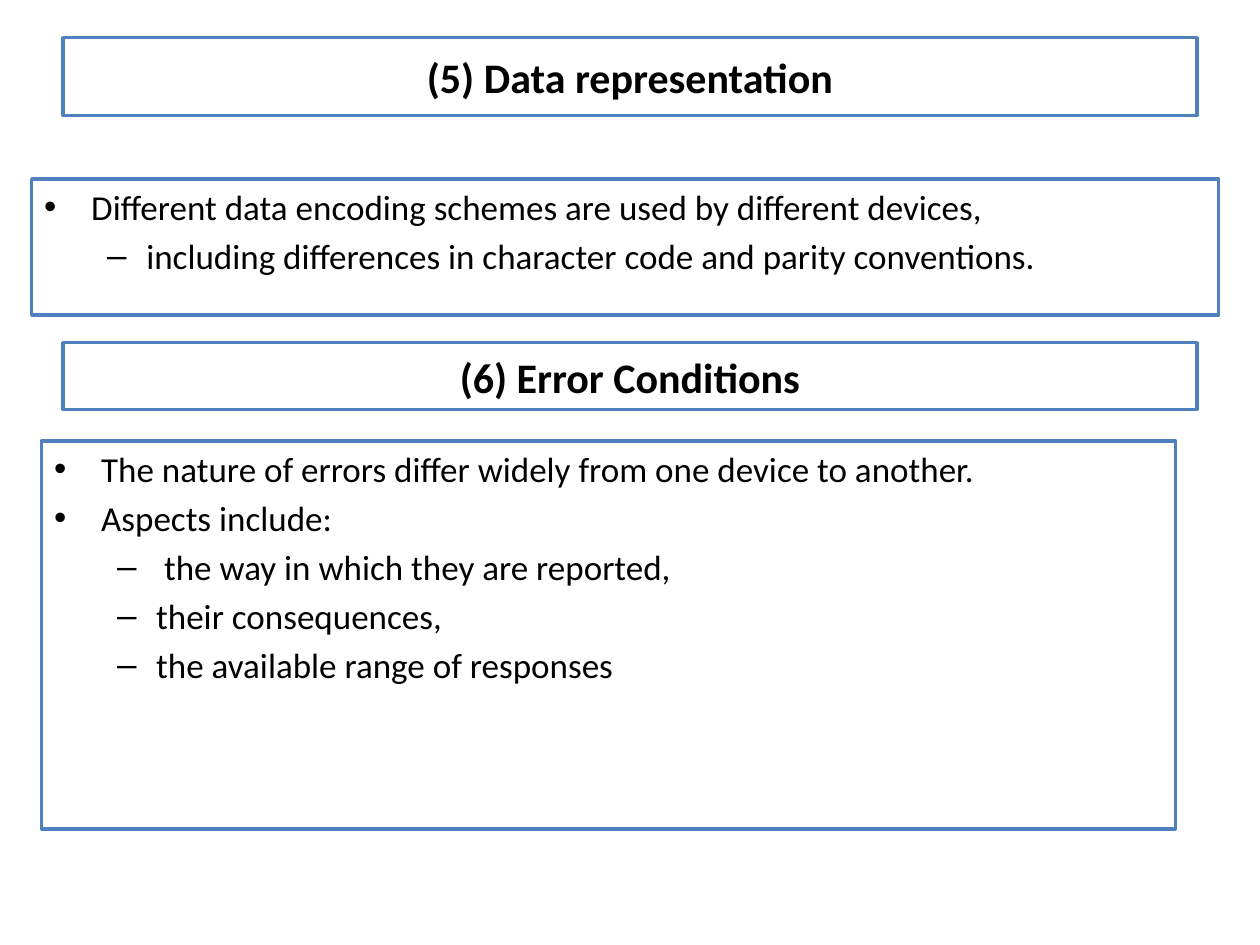
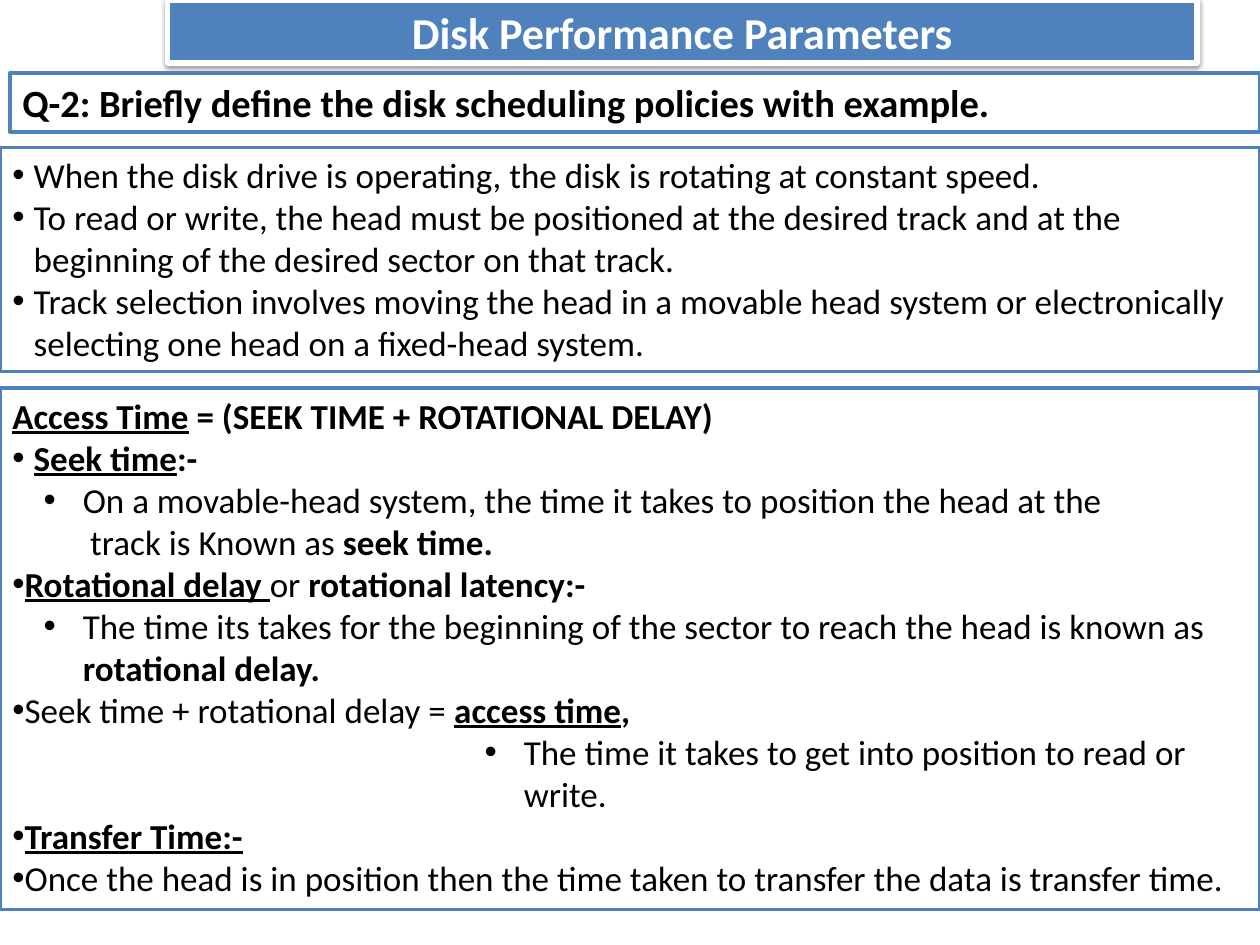
from dataclasses import dataclass

from lxml.etree import SubElement
from pptx import Presentation
from pptx.dml.color import RGBColor
from pptx.enum.shapes import MSO_SHAPE
from pptx.enum.text import MSO_ANCHOR, MSO_AUTO_SIZE, PP_ALIGN
from pptx.oxml.ns import qn
from pptx.util import Cm, Pt


@dataclass(frozen=True)
class Theme:
    font: str = "Calibri"
    ink: RGBColor = RGBColor(0, 0, 0)
    paper: RGBColor = RGBColor(255, 255, 255)
    accent: RGBColor = RGBColor(0x4F, 0x81, 0xBD)
    banner_size: float = 25.2
    heading_size: float = 24
    question_size: float = 22
    body_size: float = 20
    border: float = 2
    banner_border: float = 3


@dataclass(frozen=True)
class Level:
    margin: float = 0
    hanging: float = 0
    bullet: str = ""


PLAIN = Level()
POINT = Level(0.95, 0.95, "•")
DASH = Level(2.06, 0.79, "–")
TIGHT = Level(0, 0, "•")
SPACED = Level(0.43, 0.43, "•")
NESTED = Level(1.42, 0.79, "•")
NESTED_REST = Level(1.57)
DEEP = Level(10.31, 0.79, "•")


class Deck:
    def __init__(self, theme):
        self.theme = theme
        self.presentation = Presentation()
        self.presentation.slide_width = Cm(25.4)
        self.presentation.slide_height = Cm(19.05)
        self.slide = None

    def add_slide(self):
        layout = self.presentation.slide_layouts.get_by_name("Title Only")
        self.slide = self.presentation.slides.add_slide(layout)

    def place(self, shape, box):
        shape.left, shape.top, shape.width, shape.height = map(Cm, box)

    def paint(self, shape, fill, line, width):
        shape.fill.solid()
        shape.fill.fore_color.rgb = fill
        shape.line.color.rgb = line
        shape.line.width = Pt(width)
        shape.text_frame.word_wrap = True
        shape.text_frame.auto_size = MSO_AUTO_SIZE.NONE

    def frame(self, box):
        shape = self.slide.shapes.add_shape(MSO_SHAPE.RECTANGLE, *map(Cm, box))
        shape.shadow.inherit = False
        self.paint(shape, self.theme.paper, self.theme.accent, self.theme.border)
        return shape

    def style_run(self, run, size, color, bold=False, underline=False):
        font = run.font
        font.name = self.theme.font
        font.size = Pt(size)
        font.color.rgb = color
        font.bold = bold
        font.underline = underline

    def headline(self, shape, text, size, color, alignment=PP_ALIGN.CENTER):
        shape.text_frame.text = text
        shape.text_frame.vertical_anchor = MSO_ANCHOR.MIDDLE
        paragraph = shape.text_frame.paragraphs[0]
        paragraph.alignment = alignment
        self.style_run(paragraph.runs[0], size, color, bold=True)

    def title(self, text, box):
        shape = self.slide.shapes.title
        self.place(shape, box)
        self.paint(shape, self.theme.paper, self.theme.accent, self.theme.border)
        self.headline(shape, text, self.theme.heading_size, self.theme.ink)

    def banner_title(self, text, box):
        shape = self.slide.shapes.title
        self.place(shape, box)
        self.paint(shape, self.theme.accent, self.theme.paper, self.theme.banner_border)
        self.headline(shape, text, self.theme.banner_size, self.theme.paper)
        self.drop_shadow(shape)

    def drop_shadow(self, shape):
        shape.shadow.inherit = False
        effects = shape.element.spPr.find(qn("a:effectLst"))
        shadow = SubElement(effects, qn("a:outerShdw"), blurRad=str(Pt(3.1)),
                            dist=str(Pt(1.6)), dir="5400000", rotWithShape="0")
        color = SubElement(shadow, qn("a:srgbClr"), val=str(self.theme.ink))
        SubElement(color, qn("a:alpha"), val="38000")

    def heading(self, text, box):
        self.headline(self.frame(box), text, self.theme.heading_size, self.theme.ink)

    def question(self, text, box):
        self.headline(self.frame(box), text, self.theme.question_size,
                      self.theme.ink, PP_ALIGN.LEFT)

    def body(self, box, lines, space_before=0):
        text_frame = self.frame(box).text_frame
        text_frame.vertical_anchor = MSO_ANCHOR.TOP
        for index, (level, *pieces) in enumerate(lines):
            paragraph = text_frame.add_paragraph() if index else text_frame.paragraphs[0]
            paragraph.alignment = PP_ALIGN.LEFT
            paragraph.space_before = Pt(space_before)
            self.indent(paragraph, level)
            for piece in pieces:
                text, marks = (piece, "") if isinstance(piece, str) else piece
                run = paragraph.add_run()
                run.text = text
                self.style_run(run, self.theme.body_size, self.theme.ink,
                               "b" in marks, "u" in marks)

    def indent(self, paragraph, level):
        properties = paragraph._p.get_or_add_pPr()
        properties.set("marL", str(Cm(level.margin)))
        properties.set("indent", str(-Cm(level.hanging)))
        if level.bullet:
            SubElement(properties, qn("a:buFont"), typeface="Arial")
            SubElement(properties, qn("a:buChar"), char=level.bullet)

    def save(self):
        self.presentation.save("out.pptx")


deck = Deck(Theme())

deck.add_slide()
deck.title("(5) Data representation", (1.27, 0.76, 22.86, 1.57))
deck.body((0.64, 3.61, 23.93, 2.74), [
    (POINT, "Different data encoding schemes are used by different devices,"),
    (DASH, "including differences in character code and parity conventions."),
], space_before=4)
deck.heading("(6) Error Conditions", (1.27, 6.91, 22.86, 1.35))
deck.body((0.84, 8.89, 22.86, 7.82), [
    (POINT, "The nature of errors differ widely from one device to another."),
    (POINT, "Aspects include:"),
    (DASH, " the way in which they are reported,"),
    (DASH, "their consequences,"),
    (DASH, "the available range of responses"),
], space_before=4)

deck.add_slide()
deck.banner_title("Disk Performance Parameters", (3.38, 0, 20.75, 1.27))
deck.question("Q-2: Briefly define the disk scheduling policies with example.",
              (0.2, 1.47, 25.2, 1.19))
deck.body((0, 2.97, 25.4, 4.52), [
    (SPACED, "When the disk drive is operating, the disk is rotating at constant speed."),
    (SPACED, "To read or write, the head must be positioned at the desired track and at the "
             "beginning of the desired sector on that track."),
    (SPACED, "Track selection involves moving the head in a movable head system or "
             "electronically selecting one head on a fixed-head system."),
])
deck.body((0, 7.82, 25.4, 10.52), [
    (PLAIN, ("Access Time", "bu"), (" = (SEEK TIME + ROTATIONAL DELAY)", "b")),
    (SPACED, ("Seek time", "bu"), (":-", "b")),
    (NESTED, "On a movable-head system, the time it takes to position the head at the"),
    (NESTED_REST, "track is Known as ", ("seek time.", "b")),
    (TIGHT, ("Rotational delay ", "bu"), "or", (" rotational latency:-", "b")),
    (NESTED, "The time its takes for the beginning of the sector to reach the head is known as ",
     ("rotational delay.", "b")),
    (TIGHT, "Seek time + rotational delay = ", ("access time", "bu"), (",", "b")),
    (DEEP, "The time it takes to get into position to read or write."),
    (TIGHT, ("Transfer Time:-", "bu")),
    (TIGHT, "Once the head is in position then the time taken to transfer the data "
            "is transfer time."),
])

deck.save()
